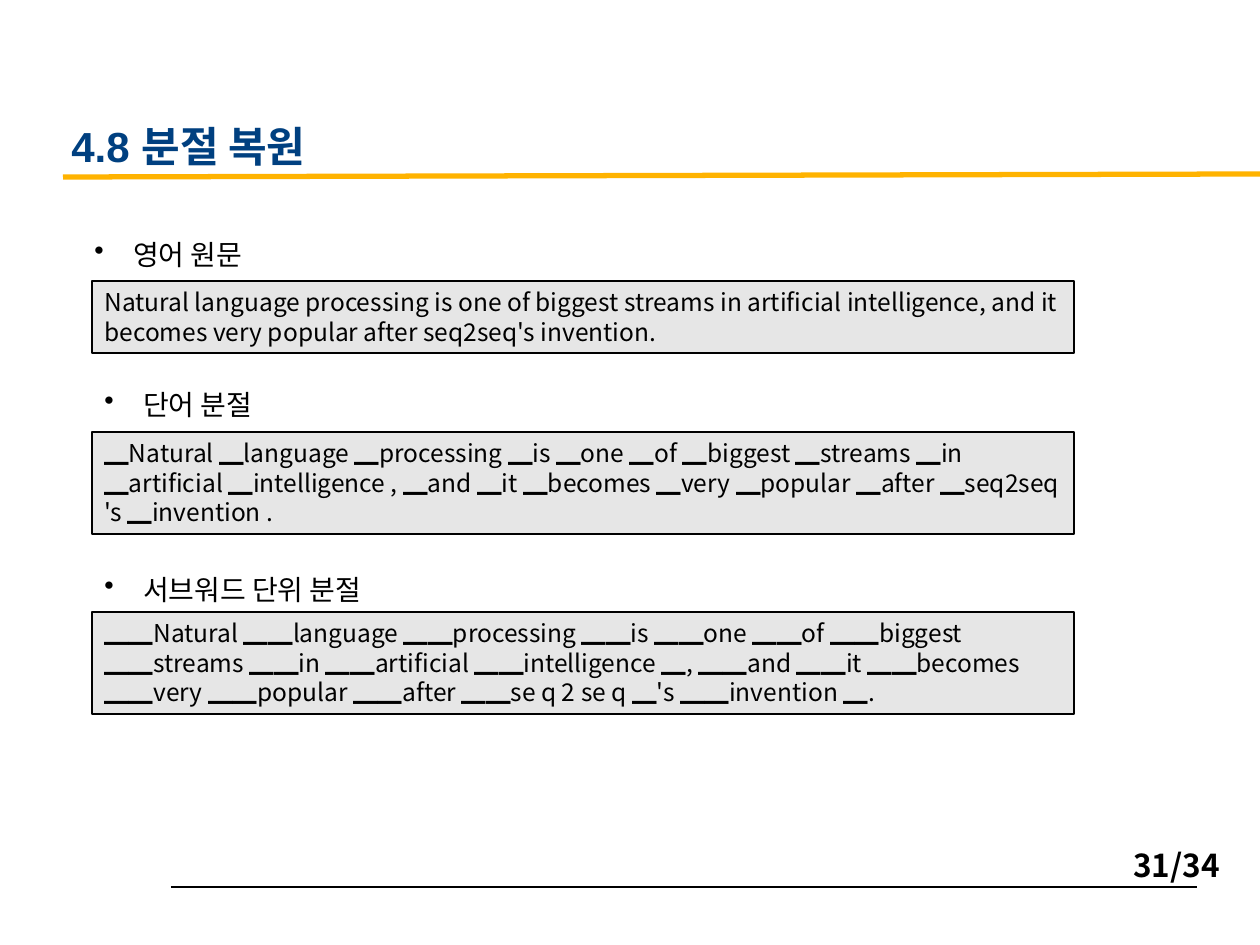
from lxml.etree import SubElement
from pptx import Presentation
from pptx.dml.color import RGBColor
from pptx.enum.shapes import MSO_CONNECTOR as Line, MSO_SHAPE as Shape
from pptx.enum.text import MSO_ANCHOR as Anchor, PP_ALIGN as Align
from pptx.oxml.ns import qn
from pptx.util import Pt

SCALE = 914400 / 126
SANS = "Noto Sans CJK KR"
INK, NAVY, GOLD, GREY = "000000", "004080", "FFB300", "E6E6E6"

# heading, its box, sample text, its box
PARTS = [
    ("영어 원문", (82, 231, 189, 47),
     "Natural language processing is one of biggest streams in artificial "
     "intelligence, and it becomes very popular after seq2seq's invention.",
     (92, 281, 982, 72)),
    ("단어 분절", (92, 381, 189, 47),
     "▁Natural ▁language ▁processing ▁is ▁one ▁of ▁biggest ▁streams ▁in "
     "▁artificial ▁intelligence , ▁and ▁it ▁becomes ▁very ▁popular ▁after "
     "▁seq2seq 's ▁invention .",
     (92, 432, 982, 102)),
    ("서브워드 단위 분절", (92, 566, 302, 47),
     "▁▁Natural ▁▁language ▁▁processing ▁▁is ▁▁one ▁▁of ▁▁biggest "
     "▁▁streams ▁▁in ▁▁artificial ▁▁intelligence ▁, ▁▁and ▁▁it ▁▁becomes "
     "▁▁very ▁▁popular ▁▁after ▁▁se q 2 se q ▁'s ▁▁invention ▁.",
     (92, 612, 982, 102)),
]


def px(*nums):
    return [round(n * SCALE) for n in nums]


def color(code):
    return RGBColor.from_string(code)


def write(shape, text, size, code=INK, face=SANS, bold=False, anchor=Anchor.TOP):
    frame = shape.text_frame
    frame.word_wrap = True
    frame.vertical_anchor = anchor
    para = frame.paragraphs[0]
    para.text = text
    para.alignment = Align.LEFT
    font = para.font
    font.size, font.bold, font.name = Pt(size), bold, face
    font.color.rgb = color(code)
    props = para._p.get_or_add_pPr()
    SubElement(props.find(qn("a:defRPr")), qn("a:ea"), typeface=SANS)
    return props


def rule(slide, ends, code, width):
    line = slide.shapes.add_connector(Line.STRAIGHT, *px(*ends))
    line.line.color.rgb = color(code)
    line.line.width = Pt(width)
    SubElement(line._element.spPr, qn("a:effectLst"))


def title(slide, box, text):
    x, y, w, h = box
    label = slide.shapes.add_textbox(*px(*box))
    write(label, text, 24, NAVY, "Arial", True, Anchor.BOTTOM)
    rule(slide, (x + 4, y + h, 1260, y + h - 3), GOLD, 3)


def heading(slide, box, text):
    label = slide.shapes.add_textbox(*px(*box))
    props = write(label, text, 16)
    left = px(39)[0]
    props.set("marL", str(left))
    props.set("indent", str(-left))
    bullet = SubElement(props, qn("a:buChar"), char="•")
    props.find(qn("a:defRPr")).addprevious(bullet)


def sample(slide, box, text):
    panel = slide.shapes.add_shape(Shape.RECTANGLE, *px(*box))
    panel.shadow.inherit = False
    panel.fill.solid()
    panel.fill.fore_color.rgb = color(GREY)
    panel.line.color.rgb = color(INK)
    panel.line.width = Pt(0.75)
    write(panel, text, 14)


def footer(slide, box, text):
    x, y, w, h = box
    rule(slide, (171, y + 47, 1197, y + 47), INK, 0.75)
    label = slide.shapes.add_textbox(*px(*box))
    write(label, text, 18, bold=True)


def main():
    deck = Presentation()
    deck.slide_width, deck.slide_height = px(1260, 945)
    slide = deck.slides.add_slide(deck.slide_layouts[6])
    footer(slide, (1121, 840, 139, 50), "31/34")
    title(slide, (59, 101, 1037, 76), "4.8 분절 복원")
    for head, spot, text, box in PARTS:
        sample(slide, box, text)
        heading(slide, spot, head)
    deck.save("out.pptx")


if __name__ == "__main__":
    main()
